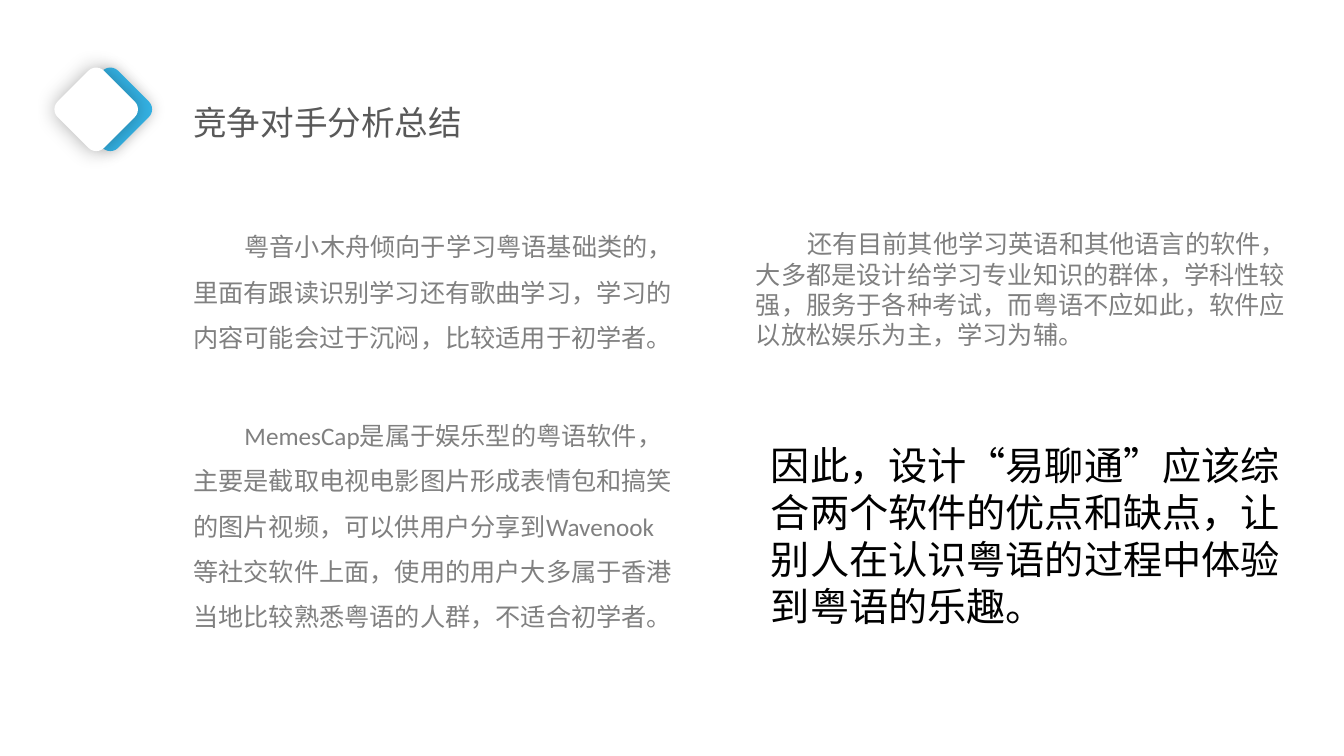
from dataclasses import dataclass
from lxml import etree
from pptx import Presentation
from pptx import util as u
from pptx.dml import color
from pptx.enum import lang, shapes, text
from pptx.oxml import ns


@dataclass(frozen=True)
class Theme:
    font: str = "Calibri"
    blue: str = "34B2E4"
    white: str = "FFFFFF"
    black: str = "000000"
    gray: str = "808080"
    dark: str = "595959"
    body: int = 18
    head: int = 24
    big: int = 28
    indent: float = 36.6


theme = Theme()


def rgb(hue):
    return color.RGBColor.from_string(hue)


def add_text(slide, box, words, size, hue, space=None, indent=0):
    shape = slide.shapes.add_textbox(*map(u.Pt, box))
    frame = shape.text_frame
    frame.word_wrap = True
    frame.auto_size = text.MSO_AUTO_SIZE.SHAPE_TO_FIT_TEXT
    para = frame.paragraphs[0]
    if space:
        para.line_spacing = space
    if indent:
        para._p.get_or_add_pPr().set("indent", str(u.Pt(indent)))
    run = para.add_run()
    run.text = words
    font = run.font
    font.name = theme.font
    font.size = u.Pt(size)
    font.color.rgb = rgb(hue)
    font.language_id = lang.MSO_LANGUAGE_ID.SIMPLIFIED_CHINESE


def add_glow(shape, blur, alpha):
    shape.shadow.inherit = False
    effects = shape._element.spPr.find(ns.qn("a:effectLst"))
    glow = etree.SubElement(effects, ns.qn("a:outerShdw"), blurRad=str(u.Pt(blur)),
                            dist="0", dir="0", algn="ctr", rotWithShape="0")
    tint = etree.SubElement(glow, ns.qn("a:srgbClr"), val=theme.black)
    etree.SubElement(tint, ns.qn("a:alpha"), val=str(alpha * 1000))


def add_badge(slide, box):
    left, top, width, height = box
    for shift, hue, blur, alpha in ((width - height, theme.blue, 10, 20),
                                    (0, theme.white, 15, 30)):
        tile = slide.shapes.add_shape(shapes.MSO_SHAPE.ROUNDED_RECTANGLE,
                                      *map(u.Pt, (left + shift, top, height, height)))
        tile.rotation = 45
        tile.fill.solid()
        tile.fill.fore_color.rgb = rgb(hue)
        tile.line.fill.background()
        add_glow(tile, blur, alpha)


def add_header(slide, box):
    left, top, width, height = box
    add_text(slide, (left + 85.7, top, width - 85.7, height),
             "竞争对手分析总结", theme.head, theme.dark, 1.5)
    add_badge(slide, (left, top, 56.9, 46.8))


def add_rivals(slide, box):
    left, top, width, height = box
    notes = (
        (0, 102.2, "粤音小木舟倾向于学习粤语基础类的，里面有跟读识别学习还有歌曲学习，"
         "学习的内容可能会过于沉闷，比较适用于初学者。"),
        (134.6, height - 134.6, "MemesCap是属于娱乐型的粤语软件，主要是截取电视电影图片形成表情包和搞笑的图片视频，"
         "可以供用户分享到Wavenook等社交软件上面，使用的用户大多属于香港当地比较熟悉粤语的人群，不适合初学者。"),
    )
    for down, tall, words in notes:
        add_text(slide, (left, top + down, width, tall), words,
                 theme.body, theme.gray, 1.5, theme.indent)


def add_result(slide, box):
    left, top, width, height = box
    wide = width - 10.8
    add_text(slide, (left, top, wide, 94.3),
             "还有目前其他学习英语和其他语言的软件，大多都是设计给学习专业知识的群体，学科性较强，"
             "服务于各种考试，而粤语不应如此，软件应以放松娱乐为主，学习为辅。",
             theme.body, theme.gray, indent=theme.indent)
    add_text(slide, (left + 10.8, top + 151.9, wide, height - 151.9),
             "因此，设计“易聊通”应该综合两个软件的优点和缺点，让别人在认识粤语的过程中体验到粤语的乐趣。",
             theme.big, theme.black)


def main():
    deck = Presentation()
    deck.slide_width, deck.slide_height = u.Pt(960), u.Pt(540)
    slide = deck.slides.add_slide(deck.slide_layouts[6])
    add_rivals(slide, (131, 151.2, 357.1, 301.7))
    add_header(slide, (45.3, 54.7, 303.9, 46.1))
    add_result(slide, (532.8, 159.8, 407.5, 295.2))
    deck.save("out.pptx")


if __name__ == "__main__":
    main()
